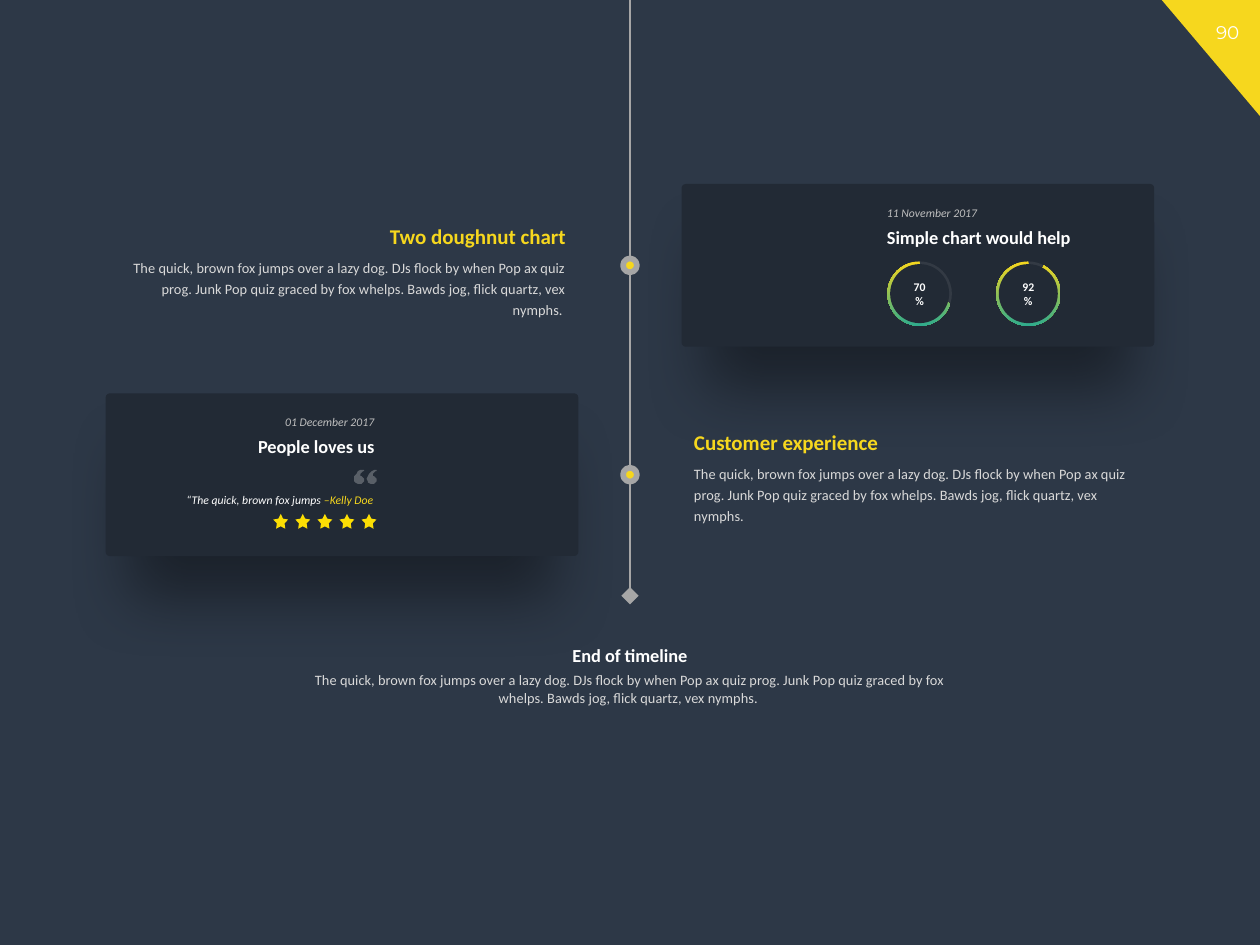
"""Build a dark two-event timeline slide with cards, ring charts and a review."""
import pptx
import pptx.chart.data
import pptx.dml.color
import pptx.enum.chart
import pptx.enum.shapes
import pptx.enum.text
import pptx.oxml
import pptx.util

Cm, Pt = pptx.util.Cm, pptx.util.Pt
SHAPE = pptx.enum.shapes.MSO_SHAPE
ALIGN = pptx.enum.text.PP_ALIGN
LEFT, CENTER, RIGHT = ALIGN.LEFT, ALIGN.CENTER, ALIGN.RIGHT
NS = 'xmlns:a="http://schemas.openxmlformats.org/drawingml/2006/main"'
CHART_NS = 'xmlns:c="http://schemas.openxmlformats.org/drawingml/2006/chart"'

YELLOW, GREEN, GREY, WHITE = "F6D71E", "2FAB8D", "A6A6A6", "FFFFFF"
CARD, PALE, DATE = "222A35", "D9D9D9", "BFBFBF"
FADE = (YELLOW, GREEN)
HEADING, SUBHEADING, BODY, SMALL = 12, 10.5, 8.25, 6.75

STORY = ("The quick, brown fox jumps over a lazy dog. DJs flock by when Pop ax quiz prog. "
         "Junk Pop quiz graced by fox whelps. Bawds jog, flick quartz, vex nymphs.")
EVENTS = [
    dict(date="11 November 2017", headline="Simple chart would help", topic="Two doughnut chart",
         story=STORY + " ", card=(13.74, 3.71), details=17.63, card_align=LEFT,
         topic_at=(2.13, 4.27), topic_align=RIGHT),
    dict(date="01 December 2017", headline="People loves us", topic="Customer experience",
         story=STORY, card=(2.13, 7.93), details=2.44, card_align=RIGHT,
         topic_at=(13.74, 8.43), topic_align=LEFT),
]
RINGS = [(70, 17.55), (92, 19.74)]
REVIEW = [("“The quick, brown fox jumps ", WHITE), ("–Kelly Doe", YELLOW)]
STAR_COUNT, STAR_LEFT, STAR_STEP = 5, 5.51, 0.445
QUOTE_MARK = [(8, 0), (8, 1), (7, 1.2), (6, 2), (5.2, 3.2), (4.9, 4.6), (5.6, 5.1),
              (6.8, 5.6), (7.7, 6.6), (8, 8), (7.7, 9.3), (7, 10.3), (5.8, 11), (4.2, 11.3),
              (2.6, 11), (1.2, 10), (0.3, 8.7), (0, 7), (0.4, 4.7), (1.6, 2.5), (3.5, 1), (5.5, 0.3)]
QUOTE_LEFT, QUOTE_TOP, QUOTE_GAP = 281, 373, 10.3
CARD_SIZE, MIDDLE = (9.53, 3.28), 12.7


def rgb(code):
    return pptx.dml.color.RGBColor.from_string(code)


def paint(fill, color, angle=0):
    if isinstance(color, tuple):
        fill.gradient()
        fill.gradient_angle = angle
        for stop, code in zip(fill.gradient_stops, color):
            stop.color.rgb = rgb(code)
    else:
        fill.solid()
        fill.fore_color.rgb = rgb(color)


def fade(part, percent):
    for color in part.xpath(".//a:solidFill/a:srgbClr"):
        color.append(pptx.oxml.parse_xml(f'<a:alpha {NS} val="{percent * 1000}"/>'))


def finish(shape, color):
    shape.shadow.inherit = False
    paint(shape.fill, color)
    shape.line.fill.background()
    return shape


def add_shape(slide, preset, left, top, width, height, color):
    return finish(slide.shapes.add_shape(preset, Cm(left), Cm(top), Cm(width), Cm(height)), color)


def write(frame, runs, size, align, bold=False, italic=False, spacing=None, font="Calibri"):
    frame.word_wrap = True
    paragraph = frame.paragraphs[0]
    paragraph.alignment = align
    if spacing:
        paragraph.line_spacing = spacing
    for words, color in runs:
        run = paragraph.add_run()
        run.text = words
        run.font.name, run.font.size = font, Pt(size)
        run.font.bold, run.font.italic = bold, italic
        paint(run.font.fill, color)


def add_text(slide, left, top, width, height, runs, size, align, **style):
    frame = slide.shapes.add_textbox(Cm(left), Cm(top), Cm(width), Cm(height)).text_frame
    write(frame, runs, size, align, **style)
    frame.auto_size = pptx.enum.text.MSO_AUTO_SIZE.SHAPE_TO_FIT_TEXT


def add_corner(slide):
    add_shape(slide, SHAPE.RIGHT_TRIANGLE, 23.42, 0, 1.98, 2.34, YELLOW).rotation = 180
    add_text(slide, 24.1, 0.3, 1.3, 0.71, [("90", WHITE)], SUBHEADING, CENTER, font="Montserrat")


def add_axis(slide):
    axis = slide.shapes.add_connector(pptx.enum.shapes.MSO_CONNECTOR.STRAIGHT,
                                      Cm(MIDDLE), 0, Cm(MIDDLE), Cm(12.01))
    axis.line.color.rgb = rgb(GREY)
    axis.line.width = Pt(1.25)
    axis.line._get_or_add_ln().append(
        pptx.oxml.parse_xml(f'<a:tailEnd {NS} type="diamond" w="lg" len="lg"/>'))
    axis._element.spPr.append(pptx.oxml.parse_xml(f'<a:effectLst {NS}/>'))


def add_event(slide, event):
    left, top = event["card"]
    card = add_shape(slide, SHAPE.ROUNDED_RECTANGLE, left, top, *CARD_SIZE, CARD)
    card.adjustments[0] = 0.026
    card._element.spPr.find(pptx.oxml.ns.qn("a:effectLst")).append(pptx.oxml.parse_xml(
        f'<a:outerShdw {NS} blurRad="{Pt(37)}" dist="{Pt(29)}" dir="5400000" sx="90000" '
        'sy="90000" algn="ctr" rotWithShape="0"><a:srgbClr val="000000"><a:alpha val="40000"/>'
        '</a:srgbClr></a:outerShdw>'))

    x, y = event["topic_at"]
    add_text(slide, x, y + 0.76, CARD_SIZE[0], 1.52, [(event["story"], PALE)], BODY,
             event["topic_align"], spacing=1.2)
    add_text(slide, x, y, CARD_SIZE[0], 0.86, [(event["topic"], FADE)], HEADING,
             event["topic_align"], bold=True, spacing=1.2)
    add_text(slide, event["details"], top + 0.25, 5.36, 0.61, [(event["date"], DATE)], SMALL,
             event["card_align"], italic=True, spacing=1.2)
    add_text(slide, event["details"], top + 0.64, 5.36, 0.79, [(event["headline"], WHITE)],
             SUBHEADING, event["card_align"], bold=True, spacing=1.2)

    dot = 0.28
    marker = add_shape(slide, SHAPE.OVAL, MIDDLE - dot / 2, top + (CARD_SIZE[1] - dot) / 2,
                       dot, dot, YELLOW)
    marker.line.color.rgb = rgb(GREY)
    marker.line.width = Pt(3.25)


def add_ring(slide, percent, left):
    top, width, height, hole, disc = 4.7, 1.98, 2.44, 1.19, 1.3
    shares = pptx.chart.data.CategoryChartData()
    shares.categories = ["1", "2"]
    shares.add_series("Series 1", [100 - percent, percent])
    chart = slide.shapes.add_chart(pptx.enum.chart.XL_CHART_TYPE.PIE, Cm(left), Cm(top),
                                   Cm(width), Cm(height), shares).chart
    chart.has_legend = chart.has_title = False
    chart.font.name, chart.font.size = "Calibri", Pt(10)
    chart.font.color.rgb = rgb("000000")
    plot = chart.plots[0]
    plot.vary_by_categories = False
    rest, done = plot.series[0].points[0].format, plot.series[0].points[1].format
    paint(rest.fill, WHITE)
    fade(chart._chartSpace.xpath(".//c:dPt")[0], 8)
    paint(done.fill, FADE, 270)
    for slice_format in (rest, done):
        slice_format.line.fill.background()

    w, h = disc / width, disc / height
    area = chart._chartSpace.xpath(".//c:plotArea")[0]
    for layout in area.xpath("c:layout"):
        area.remove(layout)
    area.insert(0, pptx.oxml.parse_xml(
        f'<c:layout {CHART_NS}><c:manualLayout><c:layoutTarget val="inner"/>'
        '<c:xMode val="edge"/><c:yMode val="edge"/>'
        f'<c:x val="{(1 - w) / 2:.3f}"/><c:y val="{(1 - h) / 2:.3f}"/>'
        f'<c:w val="{w:.3f}"/><c:h val="{h:.3f}"/></c:manualLayout></c:layout>'))

    center = add_shape(slide, SHAPE.OVAL, left + (width - hole) / 2, top + (height - hole) / 2,
                       hole, hole, CARD)
    center.text_frame.vertical_anchor = pptx.enum.text.MSO_ANCHOR.MIDDLE
    write(center.text_frame, [(f"{percent}%", WHITE)], SMALL, CENTER, bold=True)


def add_review(slide):
    add_text(slide, 3.23, 9.8, 4.55, 0.53, REVIEW, SMALL, RIGHT, italic=True)
    for i in range(STAR_COUNT):
        star = add_shape(slide, SHAPE.STAR_5_POINT, STAR_LEFT + i * STAR_STEP, 10.36,
                         0.3, 0.3, "FCDE04")
        star.adjustments[0] = 0.257
    outlines = [[(QUOTE_LEFT + shift + x, QUOTE_TOP + y) for x, y in QUOTE_MARK]
                for shift in (0, QUOTE_GAP)]
    builder = slide.shapes.build_freeform(*outlines[0][0], scale=Cm(0.0254))
    builder.add_line_segments(outlines[0][1:], close=True)
    builder.move_to(*outlines[1][0])
    builder.add_line_segments(outlines[1][1:], close=True)
    quote = finish(builder.convert_to_shape(), WHITE)
    fade(quote._element.spPr, 25)


def main():
    deck = pptx.Presentation()
    deck.slide_width, deck.slide_height = Cm(25.4), Cm(19.05)
    slide = deck.slides.add_slide(deck.slide_layouts[6])
    paint(slide.background.fill, "2D3847")
    add_corner(slide)
    add_axis(slide)
    for event in EVENTS:
        add_event(slide, event)
    for percent, left in RINGS:
        add_ring(slide, percent, left)
    add_review(slide)
    add_text(slide, 5.72, 13.41, 13.97, 0.97, [(STORY + " ", PALE)], BODY, CENTER)
    add_text(slide, 10.78, 12.78, 3.84, 0.79, [("End of timeline", WHITE)], SUBHEADING, CENTER,
             bold=True, spacing=1.2)
    deck.save("out.pptx")


if __name__ == "__main__":
    main()
